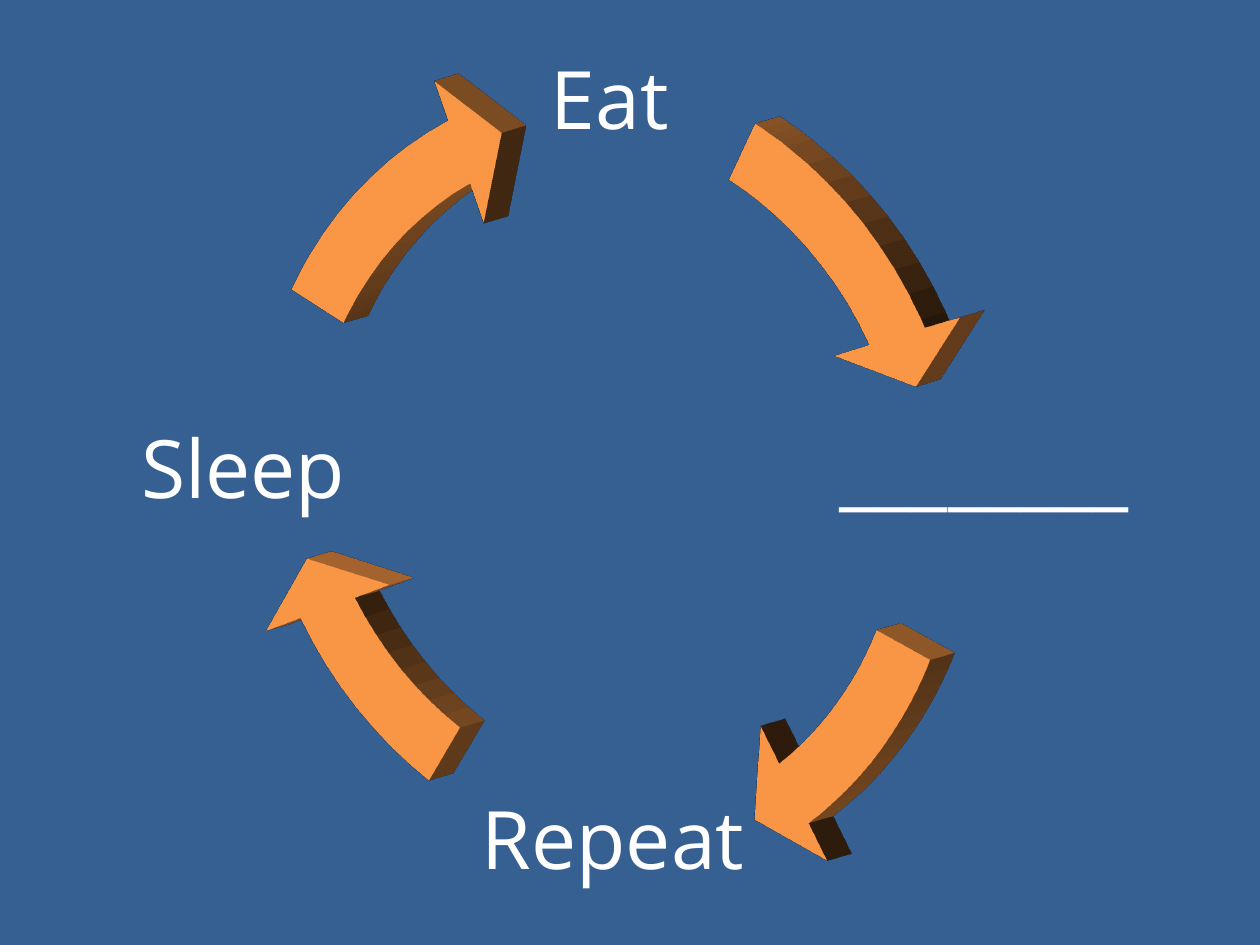
from lxml import etree
from pptx import Presentation
from pptx import util as u
from pptx.dml.color import RGBColor
from pptx.enum import shapes, text
from pptx.oxml import parse_xml

COLOURS = {"background": "376092", "arrow": "F79646", "text": "FFFFFF"}
FONT = {"name": "Open Sans", "size": u.Pt(46)}
PARAGRAPH = {"alignment": text.PP_ALIGN.CENTER, "line_spacing": 0.9, "space_after": u.Pt(16)}
INSET = u.Cm(0.15)
FRAME = {"word_wrap": True, "vertical_anchor": text.MSO_ANCHOR.MIDDLE,
         "margin_left": INSET, "margin_right": INSET,
         "margin_top": INSET, "margin_bottom": INSET}
RING = 19.05
DEPTH = u.Cm(1.06)
TILT = {"lat": 10, "lon": 27.6, "rev": 358}
NS = "http://schemas.openxmlformats.org/drawingml/2006/main"

# Label, label box (left, top, width, height), ring corner, arrow end and start
STEPS = [
    ("Sleep", (1.52, 6.88, 6.76, 5.28), (3.2, 0.71), (238.32, 204.38)),
    ("Eat", (9.45, 0, 5.69, 4.17), (2.26, 0.33), (330.71, 294.46)),
    ("________", (16.46, 6.88, 6.76, 5.36), (2.18, -0.15), (50.21, 20.81)),
    ("Repeat", (8.69, 14.96, 7.34, 4.09), (3.2, -0.71), (147.81, 120.03)),
]


def rgb(name):
    """Return a named colour."""
    return RGBColor.from_string(COLOURS[name])


def set_all(target, values):
    """Set each attribute in values on the target."""
    for key, value in values.items():
        setattr(target, key, value)


def add_label(s, label, box):
    """Place a centred label in its box."""
    tf = s.shapes.add_textbox(*map(u.Cm, box)).text_frame
    set_all(tf, FRAME)
    p = tf.paragraphs[0]
    set_all(p, PARAGRAPH)
    r = p.add_run()
    r.text = label
    set_all(r.font, FONT)
    r.font.color.rgb = rgb("text")


def extrude(sp):
    """Give a shape depth, seen from a tilted camera."""
    rot = " ".join(f'{k}="{round(v * 60000)}"' for k, v in TILT.items())
    scene = (f'<a:scene3d xmlns:a="{NS}"><a:camera prst="orthographicFront">'
             f'<a:rot {rot}/></a:camera><a:lightRig rig="threePt" dir="t"/></a:scene3d>')
    solid = f'<a:sp3d xmlns:a="{NS}" extrusionH="{DEPTH}" prstMaterial="matte"/>'
    for xml in (scene, solid):
        sp.element.spPr.append(parse_xml(xml))


def add_arrow(s, corner, angles):
    """Place a solid arc arrow on a ring; angles are in degrees."""
    sp = s.shapes.add_shape(shapes.MSO_SHAPE.CIRCULAR_ARROW,
                            *map(u.Cm, (*corner, RING, RING)))
    end, start = (angle * 0.6 for angle in angles)
    for i, value in enumerate((0.07, 4.65, end, start, 0.08)):
        sp.adjustments[i] = value
    sp.fill.solid()
    sp.fill.fore_color.rgb = rgb("arrow")
    sp.line.fill.background()
    sp.shadow.inherit = False
    extrude(sp)


def add_cycle(s):
    """Build the cycle of labels and arrows."""
    for label, box, corner, angles in STEPS:
        add_label(s, label, box)
        add_arrow(s, corner, angles)


prs = Presentation()
set_all(prs, {"slide_width": u.Cm(25.4), "slide_height": u.Cm(19.05)})
s = prs.slides.add_slide(prs.slide_layouts[6])
s.background.fill.solid()
s.background.fill.fore_color.rgb = rgb("background")
add_cycle(s)
prs.save("out.pptx")
